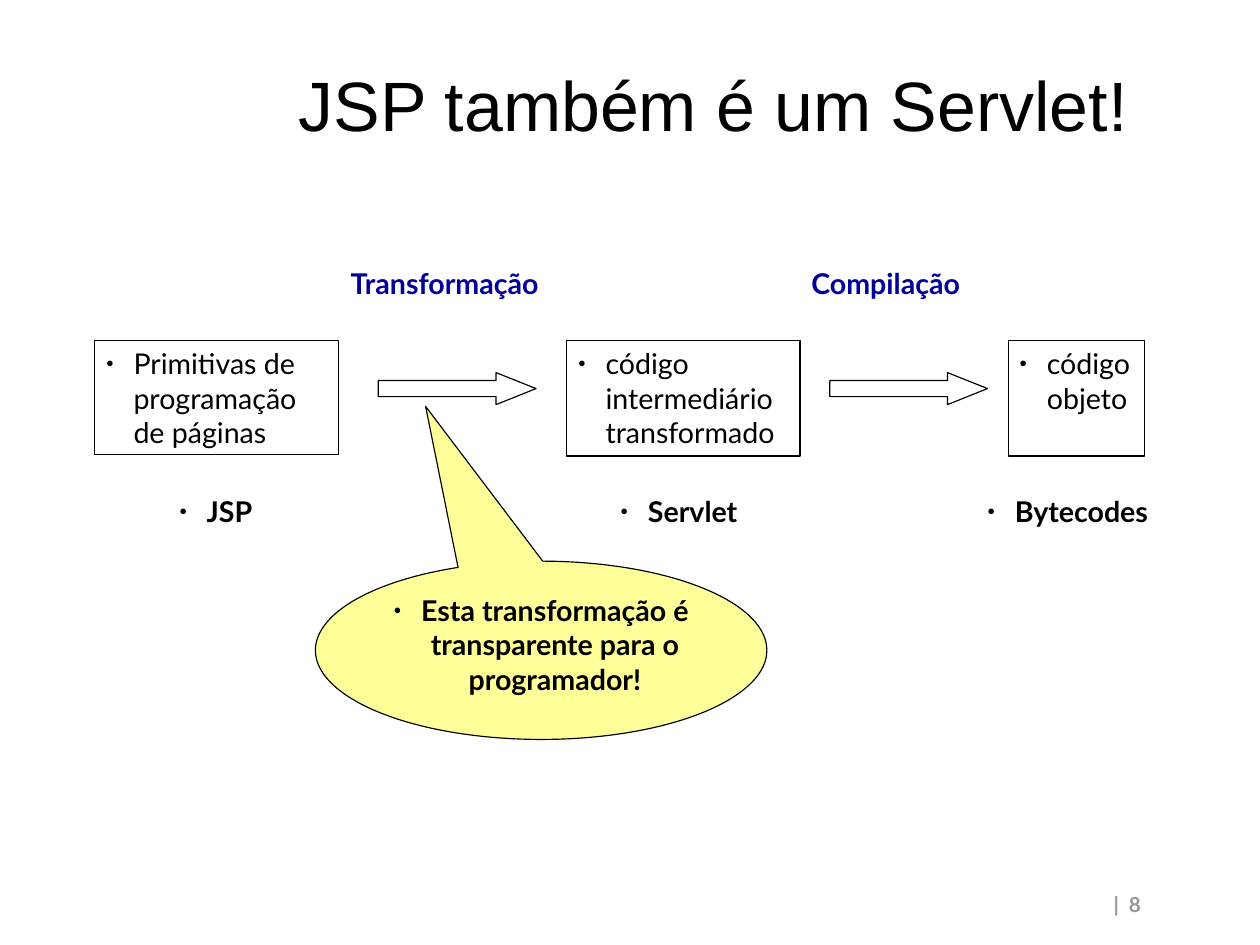
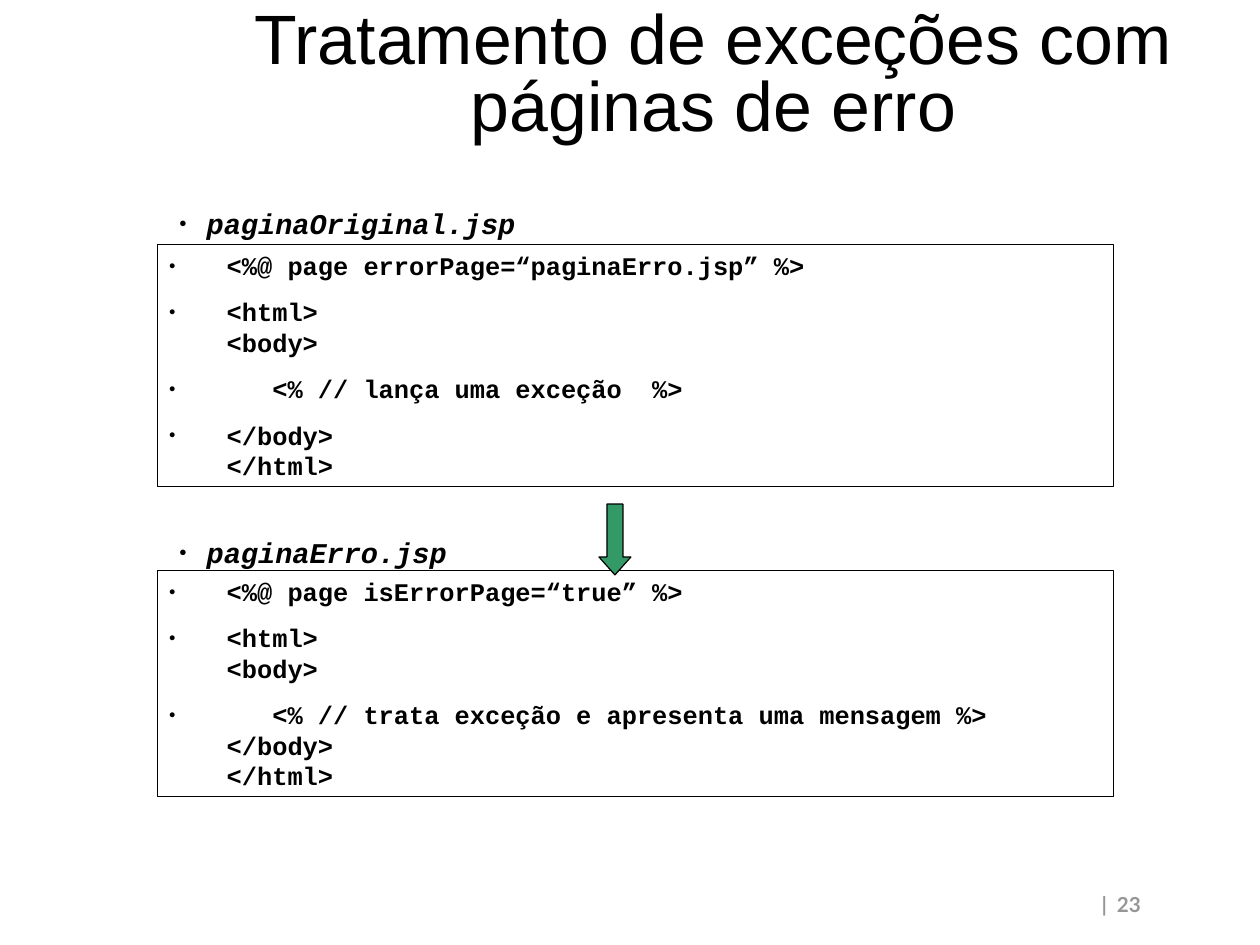
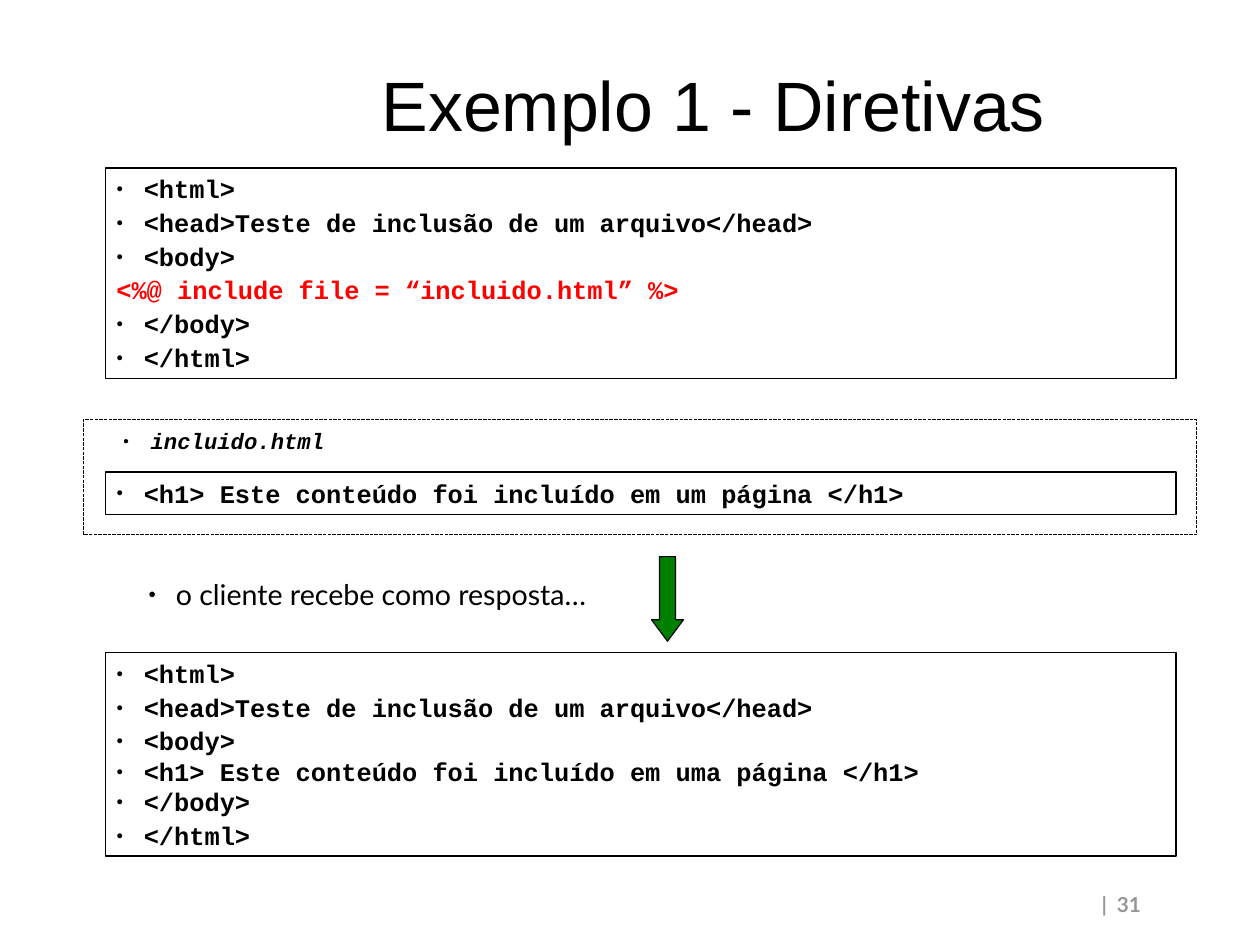
from copy import deepcopy

from lxml import etree
from pptx import Presentation
from pptx.dml.color import RGBColor
from pptx.enum.dml import MSO_LINE
from pptx.enum.shapes import MSO_SHAPE
from pptx.enum.text import MSO_ANCHOR, MSO_AUTO_SIZE, PP_ALIGN
from pptx.oxml.ns import qn
from pptx.util import Cm, Inches, Pt

RECTANGLE = MSO_SHAPE.RECTANGLE
RIGHT_ARROW = MSO_SHAPE.RIGHT_ARROW
DOWN_ARROW = MSO_SHAPE.DOWN_ARROW
CALLOUT = MSO_SHAPE.OVAL_CALLOUT
DOTTED = MSO_LINE.SQUARE_DOT
TOP, BOTTOM = MSO_ANCHOR.TOP, MSO_ANCHOR.BOTTOM
NO_AUTOFIT = MSO_AUTO_SIZE.NONE
LEFT, CENTER, RIGHT = PP_ALIGN.LEFT, PP_ALIGN.CENTER, PP_ALIGN.RIGHT

BLACK = RGBColor(0x00, 0x00, 0x00)
WHITE = RGBColor(0xFF, 0xFF, 0xFF)
GRAY = RGBColor(0x96, 0x96, 0x96)
NAVY = RGBColor(0x00, 0x00, 0x99)
YELLOW = RGBColor(0xFF, 0xFF, 0x99)
SEA_GREEN = RGBColor(0x33, 0x99, 0x66)
GREEN = RGBColor(0x00, 0x80, 0x00)
RED = RGBColor(0xFF, 0x00, 0x00)

BODY_FONT = "Lato"
TITLE_FONT = "Arial"
CODE_FONT = "Courier New"
CODE = {"font": CODE_FONT, "size": 16, "bold": True, "bullet": True}
FILE_NAME = {"font": CODE_FONT, "bold": True, "italic": True, "bullet": True}
TITLE_ONLY = 5


def add_bullet(paragraph):
    """Give the paragraph a small round bullet with a hanging indent."""
    properties = paragraph._p.get_or_add_pPr()
    properties.set("marL", str(Inches(0.24)))
    properties.set("indent", str(-Inches(0.24)))
    color = etree.SubElement(properties, qn("a:buClr"))
    etree.SubElement(color, qn("a:srgbClr"), val=str(BLACK))
    etree.SubElement(properties, qn("a:buSzPct"), val="45000")
    etree.SubElement(properties, qn("a:buFont"), typeface=TITLE_FONT)
    etree.SubElement(properties, qn("a:buChar"), char="●")


def format_paragraph(paragraph, text, font=BODY_FONT, size=18, color=BLACK,
                     bold=False, italic=False, align=LEFT, bullet=False,
                     before=0, line_spacing=None):
    """Write the text into the paragraph with the given format."""
    paragraph.text = text
    if bullet:
        add_bullet(paragraph)
    paragraph.alignment = align
    paragraph.space_before = Pt(before)
    if line_spacing:
        paragraph.line_spacing = line_spacing
    for run in paragraph.runs:
        run.font.name = font
        run.font.size = Pt(size)
        run.font.bold = bold
        run.font.italic = italic
        run.font.color.rgb = color
    for line_break in paragraph._p.findall(qn("a:br")):
        line_break.append(deepcopy(paragraph.runs[0]._r.rPr))


def write_text(shape, *items, anchor=TOP, before=0, **text_format):
    """Fill the shape with paragraphs, each a text or a text with its own format."""
    frame = shape.text_frame
    frame.word_wrap = True
    frame.auto_size = NO_AUTOFIT
    frame.vertical_anchor = anchor
    for index, item in enumerate(items):
        text, own_format = (item, {}) if isinstance(item, str) else item
        paragraph = frame.add_paragraph() if index else frame.paragraphs[0]
        settings = {"before": before, **text_format, **own_format}
        if index == 0:
            settings["before"] = 0
        format_paragraph(paragraph, text, **settings)


def place(shape, left, top, width, height):
    """Move and size the shape, in inches."""
    shape.left, shape.top = Inches(left), Inches(top)
    shape.width, shape.height = Inches(width), Inches(height)


def add_label(slide, text, left, top, width, height=0.4, **text_format):
    """Add a text box holding one paragraph."""
    box = slide.shapes.add_textbox(Inches(left), Inches(top),
                                   Inches(width), Inches(height))
    write_text(box, text, **text_format)


def add_outlined(slide, kind, left, top, width, height, fill=None, adjustments=()):
    """Add a preset shape with a thin black outline."""
    shape = slide.shapes.add_shape(kind, Inches(left), Inches(top),
                                   Inches(width), Inches(height))
    shape.shadow.inherit = False
    if fill is None:
        shape.fill.background()
    else:
        shape.fill.solid()
        shape.fill.fore_color.rgb = fill
    shape.line.color.rgb = BLACK
    shape.line.width = Pt(0.75)
    for index, value in enumerate(adjustments):
        shape.adjustments[index] = value
    return shape


def add_slide(presentation, title, number):
    """Add a slide with its title and page number."""
    slide = presentation.slides.add_slide(presentation.slide_layouts[TITLE_ONLY])
    place(slide.shapes.title, 1.56, -0.06, 9.37, 1.38)
    write_text(slide.shapes.title, title, anchor=BOTTOM, font=TITLE_FONT, size=44,
               align=CENTER, line_spacing=0.8)
    add_label(slide, f"|  {number}", 4.75, 7.75, 5.33, 0.37,
              size=13, color=GRAY, bold=True, align=RIGHT)
    return slide


def build_servlet_slide(presentation):
    """Show the path from JSP to bytecodes."""
    slide = add_slide(presentation, "JSP também é um Servlet!", 8)
    stages = [("Primitivas de programação de páginas", 0.83, 2.13, 1),
              ("código intermediário transformado", 4.96, 2.04, 1.01),
              ("código objeto", 8.82, 1.19, 1.01)]
    for text, left, width, height in stages:
        stage = add_outlined(slide, RECTANGLE, left, 2.98, width, height)
        write_text(stage, text, bullet=True)
    for left in (3.31, 7.26):
        add_outlined(slide, RIGHT_ARROW, left, 3.26, 1.38, 0.28,
                     adjustments=(0.5, 1.25))
    for text, left, width in [("JSP", 1.47, 0.92), ("Servlet", 5.33, 1.65),
                              ("Bytecodes", 8.54, 1.93)]:
        add_label(slide, text, left, 4.27, width, bold=True, bullet=True)
    callout = add_outlined(slide, CALLOUT, 2.76, 4.91, 3.95, 1.56, fill=YELLOW,
                           adjustments=(-0.256, -1.368))
    write_text(callout, "Esta transformação é transparente para o programador!",
               bold=True, bullet=True, align=CENTER)
    for text, left, width in [("Transformação", 2.97, 2.07),
                              ("Compilação", 7, 1.65)]:
        add_label(slide, text, left, 2.28, width, color=NAVY, bold=True)


def build_error_slide(presentation):
    """Show a page and the error page that handles its exceptions."""
    slide = add_slide(presentation, "Tratamento de exceções com páginas de erro", 23)
    pages = [
        ("paginaErro.jsp", 4.63, 2.76, 4.99, 1.98,
         ["  <%@ page isErrorPage=“true” %>",
          "  <html>\n  <body>",
          "     <% // trata exceção e apresenta uma mensagem %>\n  </body>\n  </html>"]),
        ("paginaOriginal.jsp", 1.75, 3.4, 2.14, 2.12,
         ["  <%@ page errorPage=“paginaErro.jsp” %>",
          "  <html>\n  <body>",
          "     <% // lança uma exceção  %>",
          "  </body>\n  </html>"]),
    ]
    for name, name_top, name_width, code_top, code_height, lines in pages:
        code = add_outlined(slide, RECTANGLE, 1.38, code_top, 8.36, code_height)
        write_text(code, *lines, before=10, **CODE)
        add_label(slide, name, 1.47, name_top, name_width, **FILE_NAME)
    add_outlined(slide, DOWN_ARROW, 5.24, 4.41, 0.28, 0.62, fill=SEA_GREEN,
                 adjustments=(0.5, 0.56))


def build_directive_slide(presentation):
    """Show an include directive and the response it gives."""
    slide = add_slide(presentation, "Exemplo 1 - Diretivas", 31)
    opening = ["<html>", "<head>Teste de inclusão de um arquivo</head>", "<body>"]
    directive = ("<%@ include file = “incluido.html” %>",
                 {"color": RED, "bullet": False})
    included = ("<h1> Este conteúdo foi incluído em uma página </h1>", {"before": 0})
    listings = [
        (1.47, 1.84, [*opening, directive, "</body>", "</html>"]),
        (4.13, 0.37, ["<h1> Este conteúdo foi incluído em um página </h1>"]),
        (5.71, 1.78, [*opening, included, ("</body>", {"before": 0}), "</html>"]),
    ]
    for top, height, lines in listings:
        listing = add_outlined(slide, RECTANGLE, 0.92, top, 9.37, height, fill=WHITE)
        write_text(listing, *lines, before=2, **CODE)
    add_label(slide, "incluido.html", 0.98, 3.69, 1.96, 0.34, size=14, **FILE_NAME)
    add_outlined(slide, DOWN_ARROW, 5.7, 4.87, 0.28, 0.74, fill=GREEN,
                 adjustments=(0.5, 0.67))
    add_label(slide, "o cliente recebe como resposta…", 1.2, 5, 4.28, bullet=True)
    file_frame = add_outlined(slide, RECTANGLE, 0.73, 3.67, 9.74, 1.01)
    file_frame.line.dash_style = DOTTED


def main():
    """Build and save the presentation."""
    presentation = Presentation()
    presentation.slide_width = Cm(28)
    presentation.slide_height = Cm(21)
    build_servlet_slide(presentation)
    build_error_slide(presentation)
    build_directive_slide(presentation)
    presentation.save("out.pptx")


if __name__ == "__main__":
    main()
